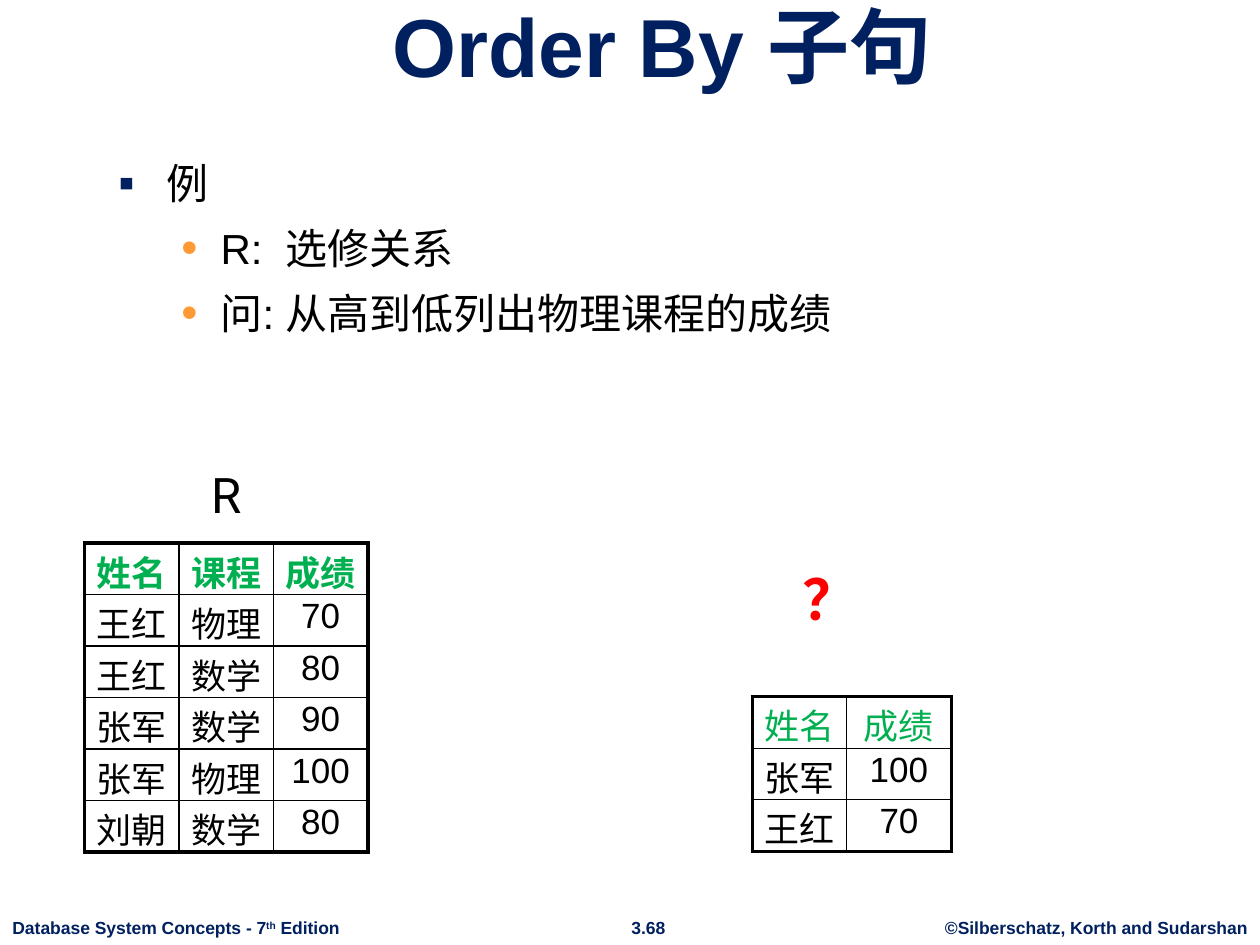
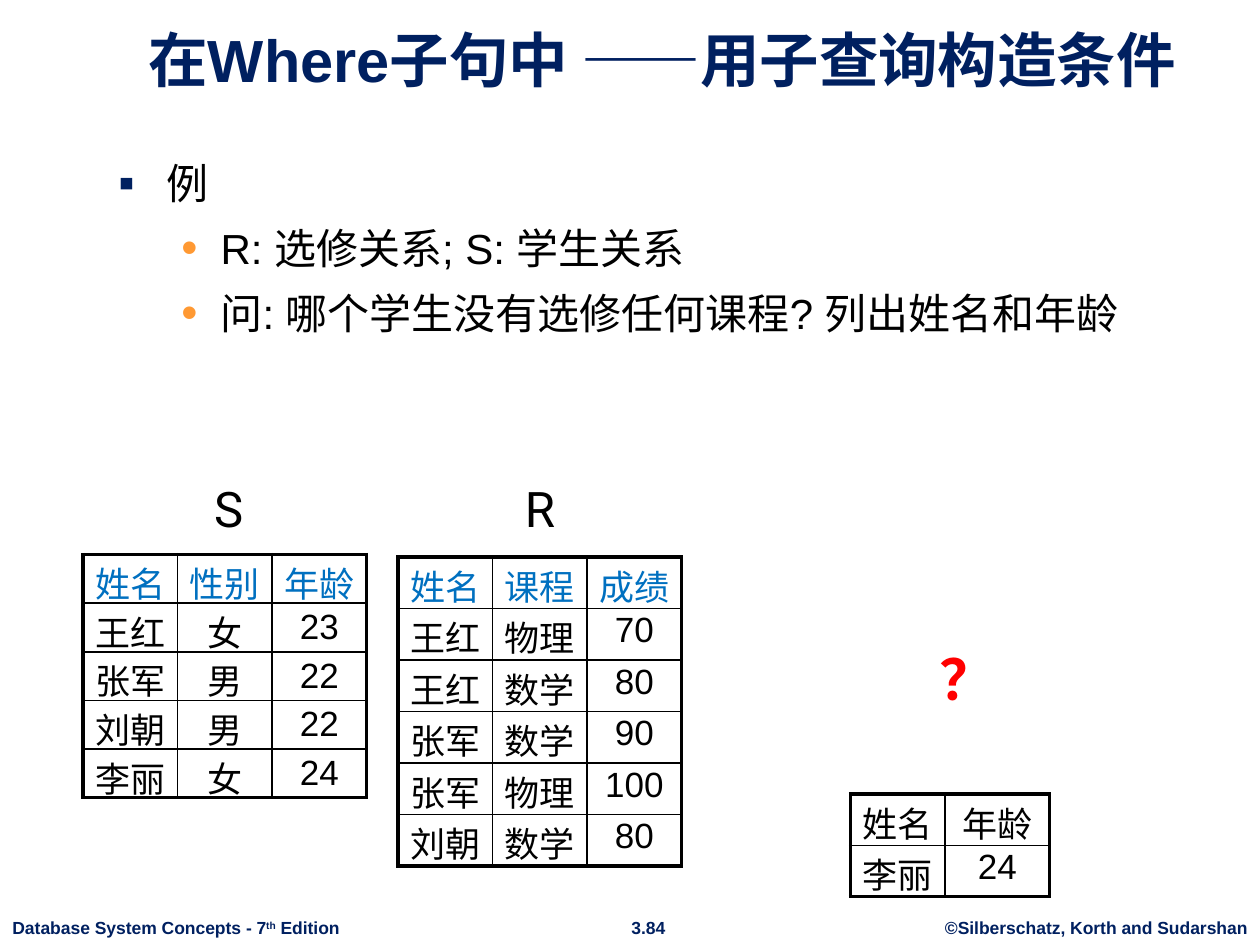
from dataclasses import dataclass

from lxml import etree
from pptx import Presentation
from pptx.dml.color import RGBColor
from pptx.enum.text import MSO_ANCHOR, MSO_AUTO_SIZE, PP_ALIGN
from pptx.oxml.ns import qn
from pptx.util import Inches, Pt

LEFT, MID = PP_ALIGN.LEFT, PP_ALIGN.CENTER
TOP, CORE, BASE = MSO_ANCHOR.TOP, MSO_ANCHOR.MIDDLE, MSO_ANCHOR.BOTTOM
FIXED, GROW = MSO_AUTO_SIZE.NONE, MSO_AUTO_SIZE.SHAPE_TO_FIT_TEXT
WIDE, HIGH = Inches(10), Inches(7.5)


@dataclass(frozen=True)
class Theme:
    font: str = "Arial"
    tag_font: str = "Roboto"
    navy: str = "002060"
    black: str = "000000"
    white: str = "FFFFFF"
    green: str = "00B050"
    blue: str = "0070C0"
    red: str = "FF0000"
    orange: str = "FF9933"
    foot: float = 10
    cell: float = 20
    body: float = 24
    tag: float = 28
    ask: float = 32
    gap: float = 8.4
    thick: float = 2.25
    thin: float = 1


THEME = Theme()


@dataclass(frozen=True)
class Box:
    """Shares of the slide's size, in percent."""
    x: float
    y: float
    w: float
    h: float

    def place(self) -> tuple[int, int, int, int]:
        return (across(self.x), down(self.y), across(self.w), down(self.h))


@dataclass(frozen=True)
class Style:
    size: float
    color: str
    bold: bool = False
    face: str = THEME.font


@dataclass(frozen=True)
class Bullet:
    mark: str
    color: str
    left: float
    hang: float


@dataclass(frozen=True)
class Note:
    text: str
    box: Box
    style: Style
    wrap: bool = False
    align: PP_ALIGN = MID
    space: float = 1


@dataclass(frozen=True)
class Grid:
    x: float
    y: float
    cols: tuple[float, ...]
    row: float
    data: tuple[str, ...]
    color: str
    bold: bool = False
    key: bool = False
    anchor: MSO_ANCHOR = TOP


@dataclass(frozen=True)
class Page:
    title: str
    size: float
    number: str
    lines: tuple[str, ...]
    grids: tuple[Grid, ...]
    notes: tuple[Note, ...]


TITLE = Box(8.4, 1.73, 88.3, 8.93)
BODY = Box(8.4, 16, 84.3, 71.47)
FOOT = Style(THEME.foot, THEME.navy, True)
TAG = Style(THEME.tag, THEME.black, face=THEME.tag_font)
ASK = Style(THEME.ask, THEME.red, True, THEME.tag_font)
SQUARE = Bullet("▪", THEME.navy, 0.38, 0.38)
DOT = Bullet("•", THEME.orange, 0.81, 0.31)
THREE, TWO = (7.5,) * 3, (7.5, 8.3)
ROW = 5.45
MARKS = ("姓名 课程 成绩", "王红 物理 70", "王红 数学 80",
         "张军 数学 90", "张军 物理 100", "刘朝 数学 80")


def across(share: float) -> int:
    return int(WIDE * share / 100)


def down(share: float) -> int:
    return int(HIGH * share / 100)


def dress(para, style: Style, align: PP_ALIGN = LEFT) -> None:
    para.alignment = align
    font = para.font
    font.name, font.size, font.bold = style.face, Pt(style.size), style.bold
    font.color.rgb = RGBColor.from_string(style.color)


def add_note(slide, note: Note):
    shape = slide.shapes.add_textbox(*note.box.place())
    frame = shape.text_frame
    frame.word_wrap, frame.auto_size = note.wrap, GROW
    para = frame.paragraphs[0]
    para.text = note.text
    para.line_spacing = note.space
    dress(para, note.style, note.align)
    return para


def add_foot(slide, number: str) -> None:
    y, h = 96.4, 3.6
    add_note(slide, Note("©Silberschatz, Korth and Sudarshan", Box(74, y, 26, h), FOOT))
    add_note(slide, Note(number, Box(49, y, 4.9, h), FOOT))
    para = add_note(slide, Note("Database System Concepts - 7", Box(0, y, 28.1, h),
                                FOOT, align=LEFT))
    power = para.add_run()
    power.text = "th"
    power._r.get_or_add_rPr().set("baseline", "30000")
    para.add_run().text = " Edition"


def fill_hold(hold, box: Box, anchor: MSO_ANCHOR):
    hold.left, hold.top, hold.width, hold.height = box.place()
    frame = hold.text_frame
    frame.word_wrap, frame.auto_size = True, FIXED
    frame.vertical_anchor = anchor
    return frame


def add_bullet(para, bullet: Bullet) -> None:
    props = para._p.get_or_add_pPr()
    props.set("marL", str(Inches(bullet.left)))
    props.set("indent", str(-Inches(bullet.hang)))
    color = etree.SubElement(props, qn("a:buClr"))
    etree.SubElement(color, qn("a:srgbClr"), val=bullet.color)
    etree.SubElement(props, qn("a:buSzPct"), val="110000")
    etree.SubElement(props, qn("a:buFont"), typeface=THEME.font)
    etree.SubElement(props, qn("a:buChar"), char=bullet.mark)


def add_list(frame, lines: tuple[str, ...]) -> None:
    frame.text = "\n".join(lines)
    for rank, para in enumerate(frame.paragraphs):
        para.level = min(rank, 1)
        add_bullet(para, DOT if rank else SQUARE)
        para.space_before = Pt(THEME.gap if rank else 0)
        dress(para, Style(THEME.body, THEME.black))


def add_edges(cell, outer: dict[str, bool]) -> None:
    props = cell._tc.get_or_add_tcPr()
    for spot, (side, edge) in enumerate(outer.items()):
        width = Pt(THEME.thick if edge else THEME.thin)
        line = etree.Element(qn(f"a:ln{side}"), w=str(width))
        fill = etree.SubElement(line, qn("a:solidFill"))
        etree.SubElement(fill, qn("a:srgbClr"), val=THEME.black)
        props.insert(spot, line)


def add_grid(slide, grid: Grid) -> None:
    rows = [line.split() for line in grid.data]
    box = Box(grid.x, grid.y, sum(grid.cols), grid.row * len(rows))
    table = slide.shapes.add_table(len(rows), len(grid.cols), *box.place()).table
    table.first_row = table.horz_banding = False
    for col, share in zip(table.columns, grid.cols):
        col.width = across(share)
    for r, row in enumerate(rows):
        table.rows[r].height = down(grid.row)
        for c, text in enumerate(row):
            cell = table.cell(r, c)
            cell.margin_left = cell.margin_right = Inches(0.04)
            cell.margin_top = cell.margin_bottom = Inches(0.02)
            cell.vertical_anchor = grid.anchor
            cell.fill.solid()
            cell.fill.fore_color.rgb = RGBColor.from_string(THEME.white)
            add_edges(cell, {"L": c == 0, "R": c == len(row) - 1,
                             "T": r == 0, "B": r == len(rows) - 1})
            para = cell.text_frame.paragraphs[0]
            para.text = text
            head = r == 0
            dress(para, Style(THEME.cell, grid.color if head else THEME.black,
                              head and grid.bold), MID)
            if grid.key and head and c == 0:
                para.font.underline = True


def add_page(deck, page: Page) -> None:
    slide = deck.slides.add_slide(deck.slide_layouts[1])
    add_foot(slide, page.number)
    frame = fill_hold(slide.shapes.title, TITLE, BASE)
    frame.text = page.title
    dress(frame.paragraphs[0], Style(page.size, THEME.navy, True), MID)
    add_list(fill_hold(slide.placeholders[1], BODY, TOP), page.lines)
    for grid in page.grids:
        add_grid(slide, grid)
    for note in page.notes:
        add_note(slide, note)


def ask(x: float, y: float) -> Note:
    return Note("？", Box(x, y, 6.5, 8.67), ASK, space=1.15)


def tag(text: str, x: float, y: float) -> Note:
    return Note(text, Box(x, y, 12.5, 7.6), TAG, wrap=True)


PAGES = (
    Page("Order By 子句", 47, "3.68",
         ("例", "R:  选修关系", "问: 从高到低列出物理课程的成绩"),
         (Grid(6.7, 57.47, THREE, ROW, MARKS, THEME.green, bold=True),
          Grid(59.7, 73.73, TWO, ROW, ("姓名 成绩", "张军 100", "王红 70"),
               THEME.green)),
         (tag("R", 11.7, 48.53), ask(62.7, 58))),
    Page("在Where子句中 ——用子查询构造条件", 34, "3.84",
         ("例", "R: 选修关系; S: 学生关系",
          "问: 哪个学生没有选修任何课程? 列出姓名和年龄"),
         (Grid(67.5, 84, TWO, ROW, ("姓名 年龄", "李丽 24"), THEME.black),
          Grid(6.6, 58.67, THREE, 5.15,
               ("姓名 性别 年龄", "王红 女 23", "张军 男 22",
                "刘朝 男 22", "李丽 女 24"),
               THEME.blue, key=True, anchor=CORE),
          Grid(31.6, 58.93, THREE, ROW, MARKS, THEME.blue)),
         (tag("S", 11.9, 50), tag("R", 36.6, 50), ask(73.5, 66.53))),
)


def main() -> None:
    deck = Presentation()
    deck.slide_width, deck.slide_height = WIDE, HIGH
    for page in PAGES:
        add_page(deck, page)
    deck.save("out.pptx")


if __name__ == "__main__":
    main()
